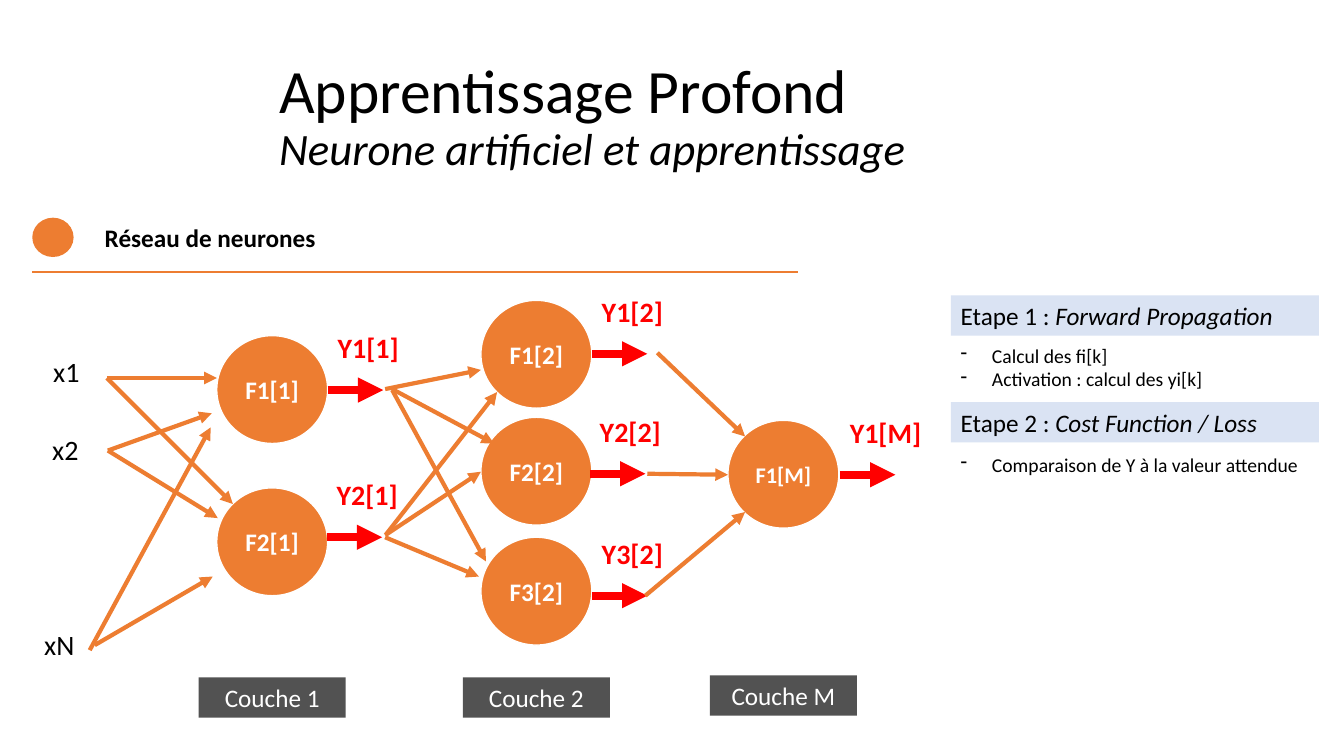
from lxml.etree import SubElement
from pptx import Presentation
from pptx.dml.color import RGBColor
from pptx.enum.shapes import MSO_CONNECTOR, MSO_SHAPE
from pptx.enum.text import MSO_ANCHOR, PP_ALIGN
from pptx.oxml.ns import qn
from pptx.util import Pt

SCALE = 9144  # EMU in one px, 100 px to the inch
FONT = "Calibri"
COLORS = {
    "orange": "ED7D31", "red": "FF0000", "black": "000000",
    "white": "FFFFFF", "pale": "DAE3F3", "gray": "525252",
}

# Neurons: left, top, name, text size
NEURONS = [
    (215, 333, "F1[1]", 18), (215, 484, "F2[1]", 18),
    (477, 298, "F1[2]", 18), (477, 414, "F2[2]", 18), (477, 533, "F3[2]", 18),
    (722, 417, "F1[M]", 16),
]
# Outputs: arrow start x, arrow y, label, label width
OUTPUTS = [
    (325, 387, "Y1[1]", 87), (324, 533, "Y2[1]", 87),
    (587, 351, "Y1[2]", 87), (585, 470, "Y2[2]", 87), (587, 591, "Y3[2]", 87),
    (833, 471, "Y1[M]", 100),
]
INPUTS = [(43, 347, 46, "x1"), (42, 424, 46, "x2"), (34, 618, 50, "xN")]
LINKS = [
    # Inputs to layer 1
    (106, 375, 215, 375), (106, 375, 231, 500),
    (107, 447, 210, 410), (107, 447, 216, 514),
    (89, 645, 209, 424), (94, 640, 211, 572),
    # Layer 1 to layer 2
    (382, 386, 477, 367), (389, 386, 490, 440), (389, 387, 482, 557),
    (382, 533, 475, 572), (382, 531, 477, 468), (383, 530, 493, 389),
    # Layer 2 to layer M
    (652, 350, 739, 433), (642, 470, 722, 471), (640, 591, 739, 508),
]
LAYERS = [(197, 672, "Couche 1"), (459, 672, "Couche 2"), (704, 670, "Couche M")]
STEPS = [
    (293, 336, 57, "Etape 1 : ", "Forward Propagation",
     ["Calcul des fi[k]", "Activation : calcul des yi[k]"]),
    (399, 444, 34, "Etape 2 : ", "Cost Function / Loss",
     ["Comparaison de Y à la valeur attendue"]),
]


def px(*sizes):
    return [size * SCALE for size in sizes]


def rgb(name):
    return RGBColor.from_string(COLORS[name])


def add_run(para, text, size, color="black", bold=False, italic=False):
    run = para.add_run()
    run.text = text
    font = run.font
    font.name, font.size = FONT, Pt(size)
    font.bold, font.italic = bold, italic
    font.color.rgb = rgb(color)


def add_text(slide, box, wrap=True):
    frame = slide.shapes.add_textbox(*px(*box)).text_frame
    frame.word_wrap = wrap
    return frame


def add_block(slide, kind, box, fill, edge=None):
    shape = slide.shapes.add_shape(kind, *px(*box))
    shape.shadow.inherit = False
    shape.fill.solid()
    shape.fill.fore_color.rgb = rgb(fill)
    if edge:
        shape.line.color.rgb = rgb(edge)
        shape.line.width = Pt(1)
    else:
        shape.line.fill.background()
    return shape.text_frame


def add_line(slide, ends, color, width, arrow=True):
    line = slide.shapes.add_connector(MSO_CONNECTOR.STRAIGHT, *px(*ends))
    line.line.color.rgb = rgb(color)
    line.line.width = Pt(width)
    props = line._element.spPr
    if arrow:
        SubElement(props.find(qn("a:ln")), qn("a:tailEnd"), type="triangle")
    SubElement(props, qn("a:effectLst"))


def add_neuron(slide, left, top, name, size):
    frame = add_block(slide, MSO_SHAPE.OVAL, (left, top, 110, 107), "orange", "white")
    frame.vertical_anchor = MSO_ANCHOR.MIDDLE
    frame.word_wrap = False
    para = frame.paragraphs[0]
    para.alignment = PP_ALIGN.CENTER
    add_run(para, name, size, "white", bold=True)


def add_output(slide, left, y, label, width):
    add_line(slide, (left, y, left + 55, y), "red", 6)
    frame = add_text(slide, (left, y - 64, width, 44))
    add_run(frame.paragraphs[0], label, 20, "red", bold=True)


def add_layer(slide, left, top, name):
    frame = add_block(slide, MSO_SHAPE.RECTANGLE, (left, top, 146, 40), "gray")
    para = frame.paragraphs[0]
    para.alignment = PP_ALIGN.CENTER
    add_run(para, name, 18, "white")


def add_step(slide, top, list_top, height, label, name, items):
    left, width = 943, 365
    para = add_block(slide, MSO_SHAPE.RECTANGLE, (left, top, width, 40), "pale").paragraphs[0]
    para.alignment = PP_ALIGN.LEFT
    add_run(para, label, 18)
    add_run(para, name, 18, italic=True)
    frame = add_text(slide, (left, list_top, width, height))
    for i, item in enumerate(items):
        para = frame.add_paragraph() if i else frame.paragraphs[0]
        props = para._p.get_or_add_pPr()
        props.set("marL", str(31 * SCALE))
        props.set("indent", str(-31 * SCALE))
        SubElement(props, qn("a:buFontTx"))
        SubElement(props, qn("a:buChar"), char="-")
        add_run(para, item, 14)


def add_head(slide):
    # Title and subtitle
    frame = add_text(slide, (267, 44, 749, 145))
    frame.vertical_anchor = MSO_ANCHOR.MIDDLE
    para = frame.paragraphs[0]
    para.line_spacing = 0.9
    add_run(para, "Apprentissage Profond", 44)
    para.add_line_break()
    add_run(para, "Neurone artificiel et apprentissage", 32, italic=True)

    # Section heading with dot and rule
    frame = add_text(slide, (94, 216, 231, 40), wrap=False)
    add_run(frame.paragraphs[0], "Réseau de neurones", 18, bold=True)
    add_line(slide, (32, 270, 791, 270), "orange", 1.5, arrow=False)
    add_block(slide, MSO_SHAPE.OVAL, (32, 216, 41, 39), "orange")


def main():
    deck = Presentation()
    deck.slide_width, deck.slide_height = px(1333, 750)
    slide = deck.slides.add_slide(deck.slide_layouts[6])
    add_head(slide)

    # Network
    for left, top, width, name in INPUTS:
        frame = add_text(slide, (left, top, width, 44), wrap=False)
        add_run(frame.paragraphs[0], name, 20)
    for neuron in NEURONS:
        add_neuron(slide, *neuron)
    for output in OUTPUTS:
        add_output(slide, *output)
    for ends in LINKS:
        add_line(slide, ends, "orange", 3)
    for layer in LAYERS:
        add_layer(slide, *layer)

    # Learning steps
    for step in STEPS:
        add_step(slide, *step)
    deck.save("out.pptx")


if __name__ == "__main__":
    main()
